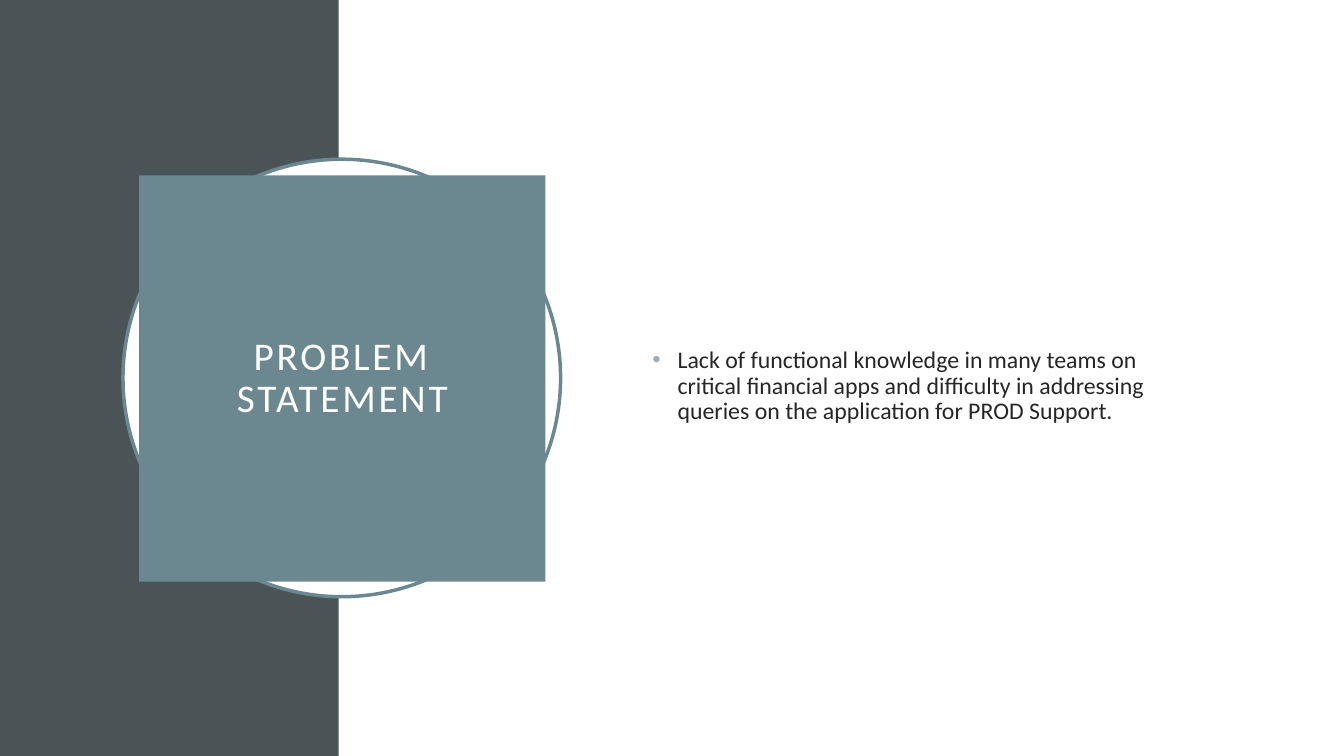
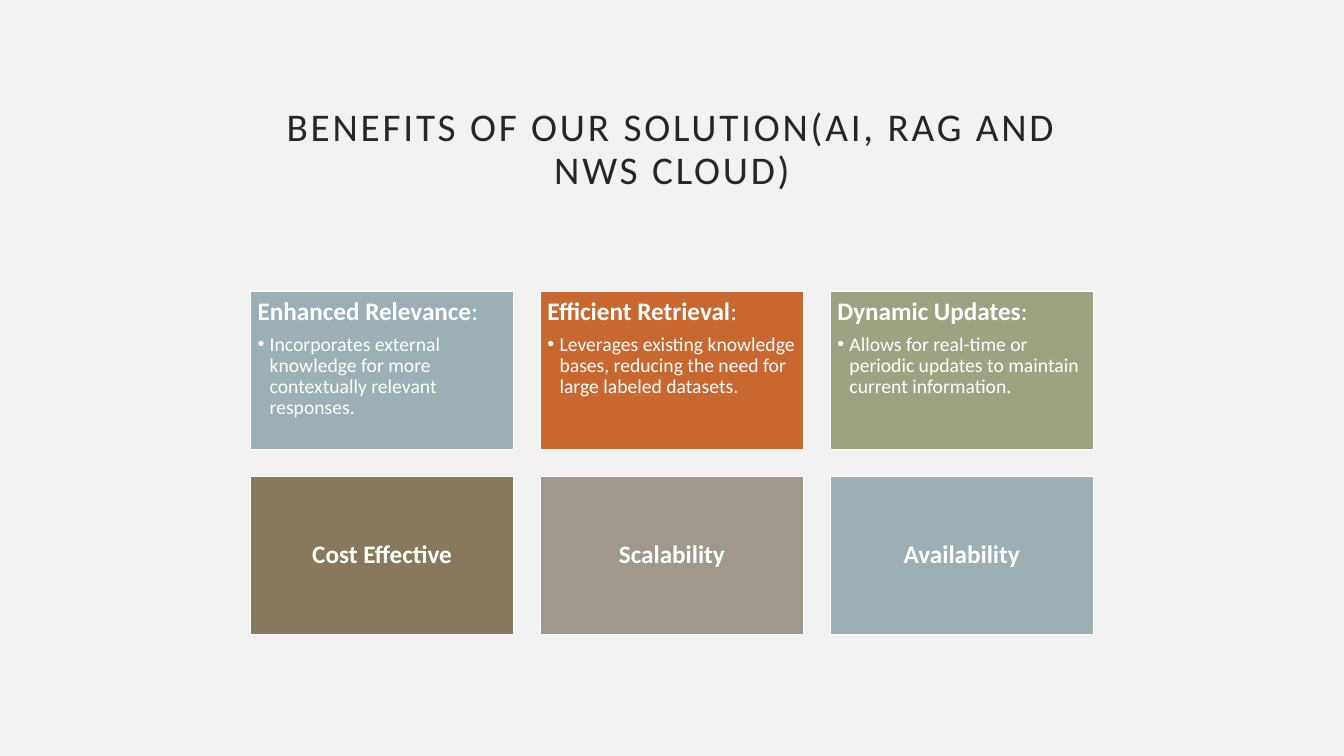
from lxml.etree import SubElement
from pptx import Presentation
from pptx.dml.color import RGBColor
from pptx.enum.shapes import MSO_SHAPE as Shape
from pptx.enum.text import MSO_ANCHOR as Anchor, MSO_AUTO_SIZE as AutoSize, PP_ALIGN as Align
from pptx.oxml.ns import qn
from pptx.util import Inches, Pt

# Content
PROBLEM_TITLE = "PROBLEM STATEMENT"
PROBLEM = ("Lack of functional knowledge in many teams on critical financial apps and "
           "difficulty in addressing queries on the application for PROD Support.")
BENEFITS_TITLE = "BENEFITS OF OUR SOLUTION(AI, RAG AND NWS CLOUD)"

# Shared style
WHITE = RGBColor(0xFF, 0xFF, 0xFF)
PALE = RGBColor(0xF2, 0xF2, 0xF2)
INK = RGBColor(0x26, 0x26, 0x26)
SLATE = RGBColor(0x4A, 0x53, 0x56)
TEAL = RGBColor(0x6B, 0x88, 0x91)
MIST = RGBColor(0x9B, 0xAF, 0xB5)
ORANGE = RGBColor(0xC9, 0x67, 0x31)
SAGE = RGBColor(0x9C, 0xA3, 0x83)
BROWN = RGBColor(0x87, 0x79, 0x5D)
TAUPE = RGBColor(0xA0, 0x98, 0x8C)
FONT = "Calibri"
WIDTH, HEIGHT = 13.33, 7.5

BENEFITS = [
    ("Enhanced Relevance", MIST,
     "Incorporates external knowledge for more contextually relevant responses."),
    ("Efficient Retrieval", ORANGE,
     "Leverages existing knowledge bases, reducing the need for large labeled datasets."),
    ("Dynamic Updates", SAGE,
     "Allows for real-time or periodic updates to maintain current information."),
    ("Cost Effective", BROWN, None),
    ("Scalability", TAUPE, None),
    ("Availability", MIST, None),
]

# Card grid, centred across the slide
COLUMNS, GRID_TOP, GRID_WIDTH = 3, 2.89, 8.36
CARD_WIDTH, CARD_HEIGHT = 2.61, 1.57
GAP = (GRID_WIDTH - COLUMNS * CARD_WIDTH) / (COLUMNS - 1)
GRID_LEFT = (WIDTH - GRID_WIDTH) / 2


def place(shape, left, top, width, height):
    shape.left, shape.top = Inches(left), Inches(top)
    shape.width, shape.height = Inches(width), Inches(height)


def set_frame(shape, anchor, inset):
    frame = shape.text_frame
    frame.word_wrap = True
    frame.auto_size = AutoSize.NONE
    frame.vertical_anchor = anchor
    frame.margin_left = frame.margin_right = Inches(inset)
    frame.margin_top = frame.margin_bottom = Inches(inset)
    return frame


def style(paragraph, size, color, align=Align.LEFT, after=0):
    paragraph.alignment = align
    paragraph.line_spacing = 0.9
    paragraph.space_before, paragraph.space_after = Pt(0), Pt(after)
    for run in paragraph.runs:
        run.font.name, run.font.size = FONT, Pt(size)
        run.font.color.rgb = color


def add_bullet(paragraph, color, left, hanging):
    properties = paragraph._p.get_or_add_pPr()
    properties.set("marL", str(Inches(left)))
    properties.set("indent", str(-Inches(hanging)))
    bullet_color = SubElement(properties, qn("a:buClr"))
    SubElement(bullet_color, qn("a:srgbClr"), val=str(color))
    SubElement(properties, qn("a:buFont"), typeface="Arial")
    SubElement(properties, qn("a:buChar"), char="•")


def add_shape(slide, kind, box, fill, line=None, line_width=1):
    shape = slide.shapes.add_shape(kind, *(Inches(value) for value in box))
    shape.shadow.inherit = False
    shape.fill.solid()
    shape.fill.fore_color.rgb = fill
    if line is None:
        shape.line.fill.background()
    else:
        shape.line.color.rgb = line
        shape.line.width = Pt(line_width)
    return shape


def add_slide(presentation, layout, background):
    slide = presentation.slides.add_slide(presentation.slide_layouts[layout])
    slide.background.fill.solid()
    slide.background.fill.fore_color.rgb = background
    return slide


def set_title(slide, text, box, color):
    title = slide.shapes.title
    place(title, *box)
    frame = set_frame(title, Anchor.MIDDLE, 0.2)
    frame.text = text
    style(frame.paragraphs[0], 28, color, Align.CENTER)
    frame.paragraphs[0].runs[0].font._element.set("spc", "200")
    return title


def build_problem(presentation):
    slide = add_slide(presentation, 1, WHITE)
    # Side band and ring behind the title block
    add_shape(slide, Shape.RECTANGLE, (0, 0, 3.36, HEIGHT), SLATE)
    add_shape(slide, Shape.OVAL, (1.22, 1.58, 4.34, 4.34), WHITE, TEAL, 2.5)
    title = set_title(slide, PROBLEM_TITLE, (1.38, 1.74, 4.03, 4.03), WHITE)
    title.fill.solid()
    title.fill.fore_color.rgb = TEAL
    title.element.getparent().append(title.element)
    # Statement
    body = slide.placeholders[1]
    place(body, 6.12, 1.62, 5.82, 4.43)
    frame = set_frame(body, Anchor.MIDDLE, 0.1)
    frame.text = PROBLEM
    style(frame.paragraphs[0], 17, INK)
    add_bullet(frame.paragraphs[0], MIST, 0.5, 0.25)


def add_card(slide, index, heading, fill, detail):
    row, column = divmod(index, COLUMNS)
    box = (GRID_LEFT + column * (CARD_WIDTH + GAP),
           GRID_TOP + row * (CARD_HEIGHT + GAP), CARD_WIDTH, CARD_HEIGHT)
    card = add_shape(slide, Shape.RECTANGLE, box, fill, WHITE)
    frame = set_frame(card, Anchor.TOP if detail else Anchor.MIDDLE, 0.07)
    frame.text = heading
    paragraph = frame.paragraphs[0]
    paragraph.runs[0].font.bold = True
    if detail:
        paragraph.add_run().text = ":"
        point = frame.add_paragraph()
        point.text = detail
        style(point, 14, WHITE)
        add_bullet(point, WHITE, 0.12, 0.12)
    style(paragraph, 18, WHITE, Align.LEFT if detail else Align.CENTER, 6.3)


def build_benefits(presentation):
    slide = add_slide(presentation, 5, PALE)
    set_title(slide, BENEFITS_TITLE, (2.44, 0.84, 8.45, 1.3), INK)
    for index, benefit in enumerate(BENEFITS):
        add_card(slide, index, *benefit)


def main():
    presentation = Presentation()
    presentation.slide_width, presentation.slide_height = Inches(WIDTH), Inches(HEIGHT)
    build_problem(presentation)
    build_benefits(presentation)
    presentation.save("out.pptx")


if __name__ == "__main__":
    main()
